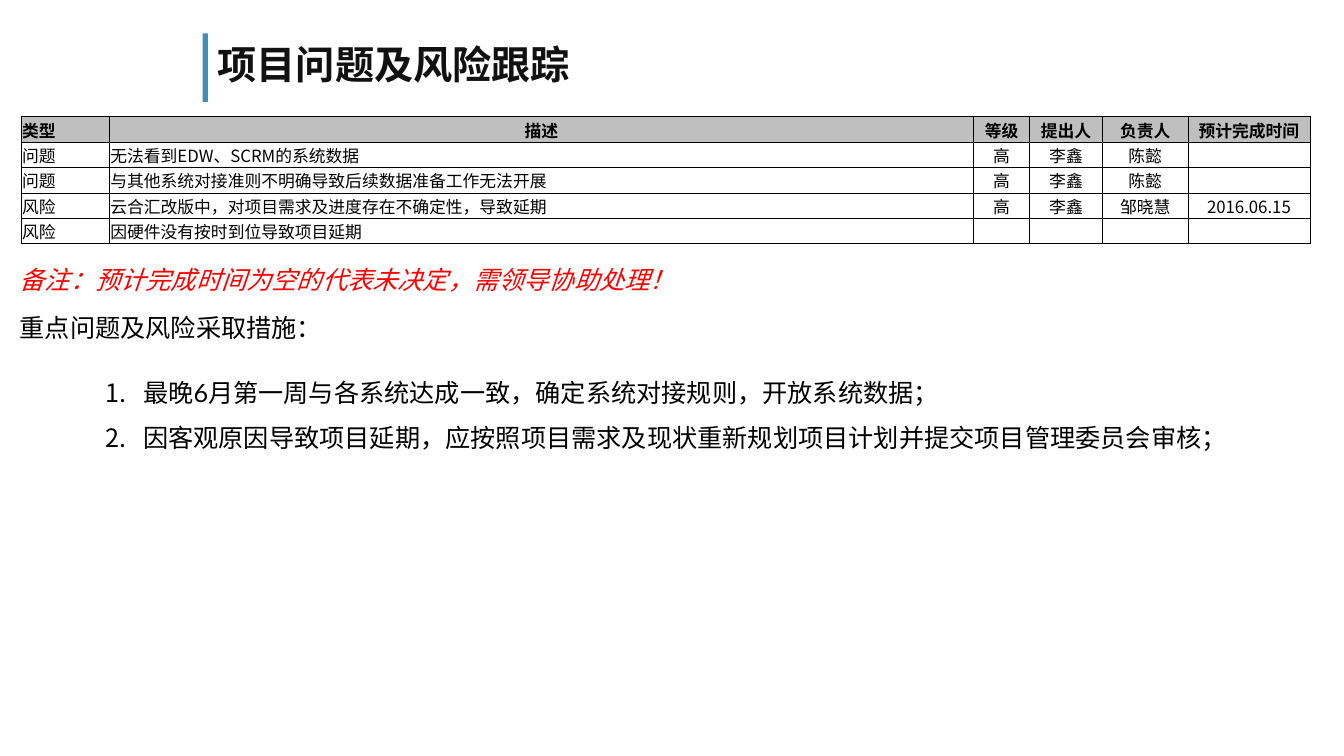
from lxml import etree
from pptx import Presentation
from pptx.dml.color import RGBColor
from pptx.enum.shapes import MSO_SHAPE
from pptx.enum.text import MSO_ANCHOR, MSO_AUTO_SIZE, PP_ALIGN
from pptx.oxml.ns import qn
from pptx.util import Cm, Pt

CJK_FONT = "Noto Sans CJK SC"
BODY_FONT = "Lato"


def write(paragraph, text, size=18, font=BODY_FONT, color="000000", bold=False,
          italic=False, align=PP_ALIGN.LEFT, spacing=1.0):
    """Put formatted text into a paragraph, or size it if the text is empty."""
    paragraph.alignment = align
    paragraph.line_spacing = spacing
    if not text:
        paragraph._p.get_or_add_endParaRPr().set("sz", str(size * 100))
        return
    run = paragraph.add_run()
    run.text = text
    run.font.size = Pt(size)
    run.font.name = font
    run.font.bold = bold
    run.font.italic = italic
    run.font.color.rgb = RGBColor.from_string(color)
    etree.SubElement(run._r.rPr, qn("a:ea"), typeface=CJK_FONT)


def add_borders(cell, color="000000", width=Pt(0.5)):
    """Draw a thin solid line on all four sides of a table cell."""
    properties = cell._tc.get_or_add_tcPr()
    for index, side in enumerate(("a:lnL", "a:lnR", "a:lnT", "a:lnB")):
        line = etree.Element(qn(side), w=str(width))
        fill = etree.SubElement(line, qn("a:solidFill"))
        etree.SubElement(fill, qn("a:srgbClr"), val=color)
        properties.insert(index, line)


presentation = Presentation()
presentation.slide_width = Cm(33.87)
presentation.slide_height = Cm(19.05)
slide = presentation.slides.add_slide(presentation.slide_layouts[5])

# Title with its accent bar
accent_bar = slide.shapes.add_shape(MSO_SHAPE.RECTANGLE, Cm(5.11), Cm(0.84), Cm(0.13), Cm(1.73))
accent_bar.shadow.inherit = False
accent_bar.fill.solid()
accent_bar.fill.fore_color.rgb = RGBColor.from_string("448DB7")
accent_bar.line.fill.background()

title = slide.shapes.title
title.left, title.top, title.width, title.height = Cm(5.23), Cm(0.84), Cm(23.37), Cm(1.68)
title.text_frame.vertical_anchor = MSO_ANCHOR.MIDDLE
title.text_frame.auto_size = MSO_AUTO_SIZE.NONE
write(title.text_frame.paragraphs[0], "项目问题及风险跟踪", size=28, font=CJK_FONT,
      color="111111", bold=True, spacing=0.9)

# Issue and risk table
issue_rows = [
    ("类型", "描述", "等级", "提出人", "负责人", "预计完成时间"),
    ("问题", "无法看到EDW、SCRM的系统数据", "高", "李鑫", "陈懿", ""),
    ("问题", "与其他系统对接准则不明确导致后续数据准备工作无法开展", "高", "李鑫", "陈懿", ""),
    ("风险", "云合汇改版中，对项目需求及进度存在不确定性，导致延期", "高", "李鑫", "邹晓慧", "2016.06.15"),
    ("风险", "因硬件没有按时到位导致项目延期", "", "", "", ""),
]
column_widths = [2.22, 21.77, 1.42, 1.83, 2.16, 3.07]
row_height = 0.64
table = slide.shapes.add_table(
    len(issue_rows), len(column_widths), Cm(0.54), Cm(2.94),
    Cm(sum(column_widths)), Cm(row_height * len(issue_rows))).table
table.horz_banding = False
for column, width in zip(table.columns, column_widths):
    column.width = Cm(width)
for row_index, values in enumerate(issue_rows):
    table.rows[row_index].height = Cm(row_height)
    is_header = row_index == 0
    for column_index, value in enumerate(values):
        cell = table.cell(row_index, column_index)
        cell.margin_left = cell.margin_right = cell.margin_top = Cm(0.02)
        cell.margin_bottom = 0
        cell.vertical_anchor = MSO_ANCHOR.MIDDLE
        cell.fill.solid()
        cell.fill.fore_color.rgb = RGBColor.from_string("BFBFBF" if is_header else "FFFFFF")
        add_borders(cell)
        centred = column_index > 1 or (is_header and column_index == 1)
        write(cell.text_frame.paragraphs[0], value, size=12, font=CJK_FONT, bold=is_header,
              align=PP_ALIGN.CENTER if centred else PP_ALIGN.LEFT)

# Remark and heading of the measures
single_lines = [
    ("备注：预计完成时间为空的代表未决定，需领导协助处理！", 6.53, 17.2, "FF0000", True),
    ("重点问题及风险采取措施：", 7.75, 8.2, "000000", False),
]
for text, top, width, color, italic in single_lines:
    line_box = slide.shapes.add_textbox(Cm(0.25), Cm(top), Cm(width), Cm(1.02))
    line_box.text_frame.word_wrap = False
    line_box.text_frame.auto_size = MSO_AUTO_SIZE.SHAPE_TO_FIT_TEXT
    write(line_box.text_frame.paragraphs[0], text, color=color, italic=italic)

# Numbered measures
measures = [
    "最晚6月第一周与各系统达成一致，确定系统对接规则，开放系统数据；",
    "因客观原因导致项目延期，应按照项目需求及现状重新规划项目计划并提交项目管理委员会审核；",
]
measures_box = slide.shapes.add_textbox(Cm(1.12), Cm(8.99), Cm(31.6), Cm(2.57))
measures_frame = measures_box.text_frame
measures_frame.word_wrap = True
measures_frame.auto_size = MSO_AUTO_SIZE.SHAPE_TO_FIT_TEXT
for index, measure in enumerate(measures):
    paragraph = measures_frame.add_paragraph() if index else measures_frame.paragraphs[0]
    paragraph.level = 1
    write(paragraph, measure, spacing=1.5)
    properties = paragraph._p.get_or_add_pPr()
    properties.set("marL", str(Cm(2.24)))
    properties.set("indent", str(-Cm(0.95)))
    etree.SubElement(properties, qn("a:buFont"), typeface="+mj-lt")
    etree.SubElement(properties, qn("a:buAutoNum"), type="arabicPeriod")

presentation.save("out.pptx")
